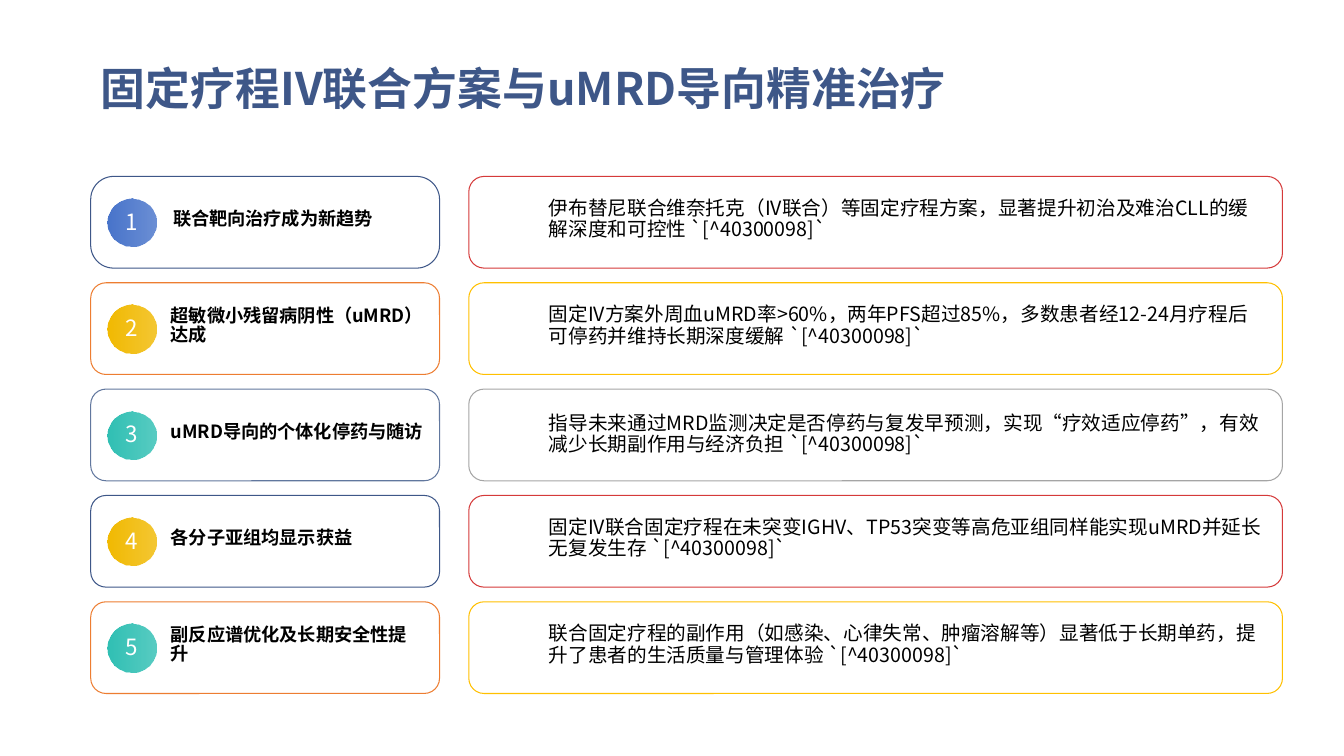
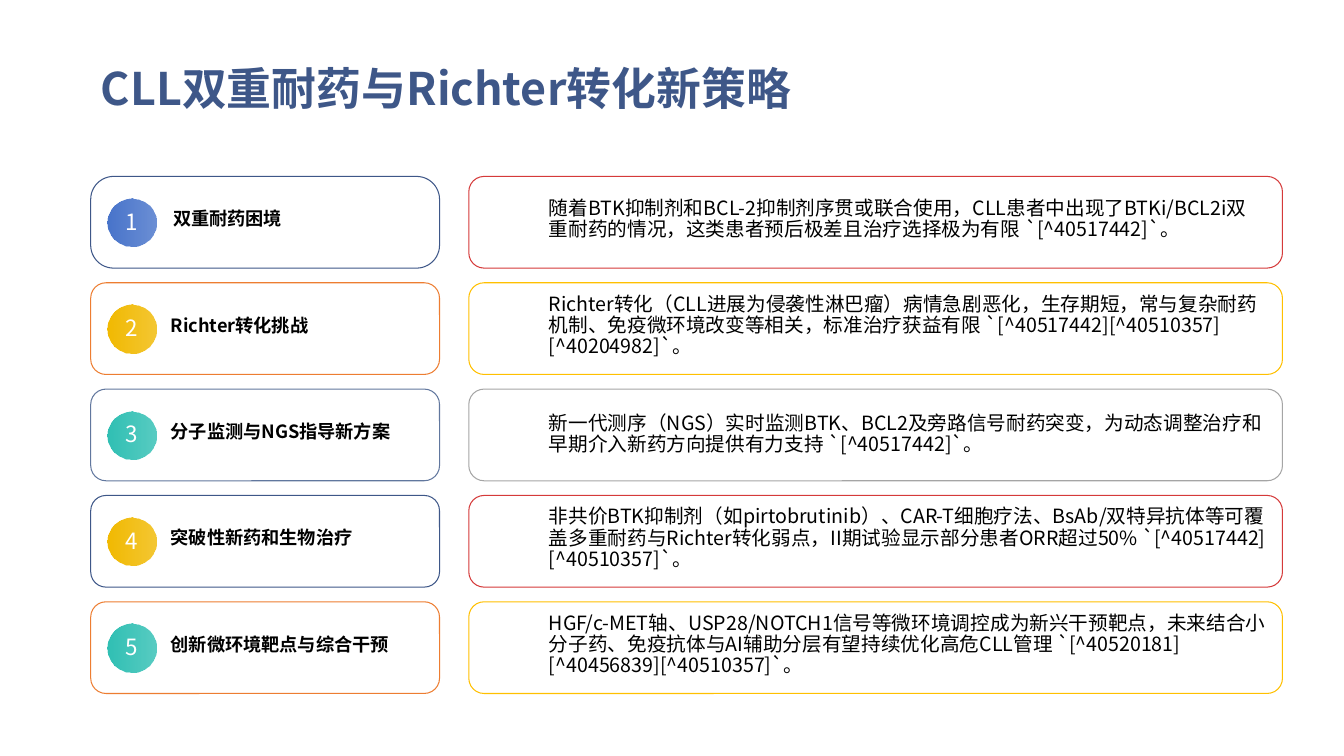
from pptx import Presentation
from pptx.dml.color import RGBColor
from pptx.enum.shapes import MSO_SHAPE
from pptx.enum.text import MSO_ANCHOR, MSO_AUTO_SIZE, PP_ALIGN
from pptx.oxml.ns import qn
from pptx.util import Inches, Pt
from lxml import etree

ROUNDED, OVAL = MSO_SHAPE.ROUNDED_RECTANGLE, MSO_SHAPE.OVAL
MIDDLE, BOTTOM = MSO_ANCHOR.MIDDLE, MSO_ANCHOR.BOTTOM
LEFT, CENTER = PP_ALIGN.LEFT, PP_ALIGN.CENTER
NO_AUTOFIT = MSO_AUTO_SIZE.NONE

# Shared style
FONT = "Noto Sans CJK SC"
NAVY = RGBColor(0x3E, 0x57, 0x88)
SLATE = RGBColor(0x61, 0x77, 0x9E)
ORANGE = RGBColor(0xED, 0x7D, 0x31)
RED = RGBColor(0xD5, 0x3A, 0x3A)
GOLD = RGBColor(0xFF, 0xC0, 0x00)
GRAY = RGBColor(0xA5, 0xA5, 0xA5)
BLUE = RGBColor(0x48, 0x74, 0xCB)
AMBER = RGBColor(0xF2, 0xBA, 0x02)
TEAL = RGBColor(0x30, 0xC0, 0xB4)
BLACK = RGBColor(0x00, 0x00, 0x00)
WHITE = RGBColor(0xFF, 0xFF, 0xFF)

# One entry per row: label outline, detail outline, badge fill
ROW_COLORS = [
    (NAVY, RED, BLUE),
    (ORANGE, GOLD, AMBER),
    (SLATE, GRAY, TEAL),
    (NAVY, RED, AMBER),
    (ORANGE, GOLD, TEAL),
]
ROW_TOP, ROW_PITCH, ROW_HEIGHT = 1.75, 1.055, 0.91
BADGE_SIZE = 0.48
GRAY_ROW = 2

SLIDES = [
    ("固定疗程IV联合方案与uMRD导向精准治疗", [
        ("联合靶向治疗成为新趋势",
         "伊布替尼联合维奈托克（IV联合）等固定疗程方案，显著提升初治及难治CLL的"
         "缓解深度和可控性 `[^40300098]`"),
        ("超敏微小残留病阴性（uMRD）达成",
         "固定IV方案外周血uMRD率>60%，两年PFS超过85%，多数患者经12-24月疗"
         "程后可停药并维持长期深度缓解 `[^40300098]`"),
        ("uMRD导向的个体化停药与随访",
         "指导未来通过MRD监测决定是否停药与复发早预测，实现“疗效适应停药”，有"
         "效减少长期副作用与经济负担 `[^40300098]`"),
        ("各分子亚组均显示获益",
         "固定IV联合固定疗程在未突变IGHV、TP53突变等高危亚组同样能实现uMRD并"
         "延长无复发生存 `[^40300098]`"),
        ("副反应谱优化及长期安全性提升",
         "联合固定疗程的副作用（如感染、心律失常、肿瘤溶解等）显著低于长期单药，提"
         "升了患者的生活质量与管理体验 `[^40300098]`"),
    ]),
    ("CLL双重耐药与Richter转化新策略", [
        ("双重耐药困境",
         "随着BTK抑制剂和BCL-2抑制剂序贯或联合使用，CLL患者中出现了BTKi/BCL2i"
         "双重耐药的情况，这类患者预后极差且治疗选择极为有限 `[^40517442]`。"),
        ("Richter转化挑战",
         "Richter转化（CLL进展为侵袭性淋巴瘤）病情急剧恶化，生存期短，常与复杂耐"
         "药机制、免疫微环境改变等相关，标准治疗获益有限 "
         "`[^40517442][^40510357][^40204982]`。"),
        ("分子监测与NGS指导新方案",
         "新一代测序（NGS）实时监测BTK、BCL2及旁路信号耐药突变，为动态调整治"
         "疗和早期介入新药方向提供有力支持 `[^40517442]`。"),
        ("突破性新药和生物治疗",
         "非共价BTK抑制剂（如pirtobrutinib）、CAR-T细胞疗法、BsAb/双特异抗体等"
         "可覆盖多重耐药与Richter转化弱点，II期试验显示部分患者ORR超过50% "
         "`[^40517442][^40510357]`。"),
        ("创新微环境靶点与综合干预",
         "HGF/c-MET轴、USP28/NOTCH1信号等微环境调控成为新兴干预靶点，未来结合"
         "小分子药、免疫抗体与AI辅助分层有望持续优化高危CLL管理 "
         "`[^40520181][^40456839][^40510357]`。"),
    ]),
]


def write_text(shape, text, size, color, bold=False, align=LEFT, anchor=MIDDLE, insets=None):
    """Set one styled paragraph; insets run left, top, right, bottom."""
    frame = shape.text_frame
    frame.text = text
    frame.word_wrap = True
    frame.auto_size = NO_AUTOFIT
    frame.vertical_anchor = anchor
    if insets:
        (frame.margin_left, frame.margin_top,
         frame.margin_right, frame.margin_bottom) = [Inches(inset) for inset in insets]
    paragraph = frame.paragraphs[0]
    paragraph.alignment = align
    paragraph.line_spacing = 0.9
    paragraph.space_before = Pt(10)
    font = paragraph.runs[0].font
    font.name, font.size, font.bold = FONT, Pt(size), bold
    font.color.rgb = color
    # The East Asian typeface follows the Latin one
    latin = paragraph.runs[0].font._element.find(qn("a:latin"))
    east_asian = etree.Element(qn("a:ea"), typeface=FONT)
    latin.addnext(east_asian)


def add_card(slide, left, top, width, outline):
    card = slide.shapes.add_shape(
        ROUNDED, Inches(left), Inches(top), Inches(width), Inches(ROW_HEIGHT))
    card.shadow.inherit = False
    card.fill.background()
    card.line.color.rgb = outline
    card.line.width = Pt(0.75)
    return card


presentation = Presentation()
presentation.slide_width = Inches(13.33)
presentation.slide_height = Inches(7.5)
title_only = presentation.slide_layouts[5]

for title_text, rows in SLIDES:
    slide = presentation.slides.add_slide(title_only)

    # Title
    title = slide.shapes.title
    title.left, title.top = Inches(0.9), Inches(0.4)
    title.width, title.height = Inches(11.81), Inches(0.79)
    write_text(title, title_text, 32, NAVY, bold=True, anchor=BOTTOM)

    for index, (label_text, detail_text) in enumerate(rows):
        label_color, detail_color, badge_color = ROW_COLORS[index]
        top = ROW_TOP + index * ROW_PITCH

        # Label card, rounder in the first row
        label = add_card(slide, 0.9, top, 3.46, label_color)
        if index == 0:
            label.adjustments[0] = 0.25
        write_text(label, label_text, 13, BLACK, bold=True, insets=(0.75, 0, 0.12, 0.05))

        # Detail card
        detail = add_card(slide, 4.65, top, 8.07, detail_color)
        top_inset = 0.05 if index == GRAY_ROW else 0
        write_text(detail, detail_text, 14, BLACK, insets=(0.75, top_inset, 0.12, 0.05))

        # Number badge, fading to the right
        badge = slide.shapes.add_shape(
            OVAL, Inches(1.07), Inches(top + 0.22), Inches(BADGE_SIZE), Inches(BADGE_SIZE))
        badge.shadow.inherit = False
        badge.line.fill.background()
        badge.fill.gradient()
        badge.fill.gradient_angle = 0
        for stop, position in zip(badge.fill.gradient_stops, (0, 1)):
            stop.color.rgb = badge_color
            stop.position = position
        end_color = badge.element.findall(".//" + qn("a:gs"))[-1].find(qn("a:srgbClr"))
        etree.SubElement(end_color, qn("a:alpha"), val="80000")
        write_text(badge, str(index + 1), 16, WHITE, align=CENTER, insets=(0, 0, 0, 0))

presentation.save("out.pptx")
